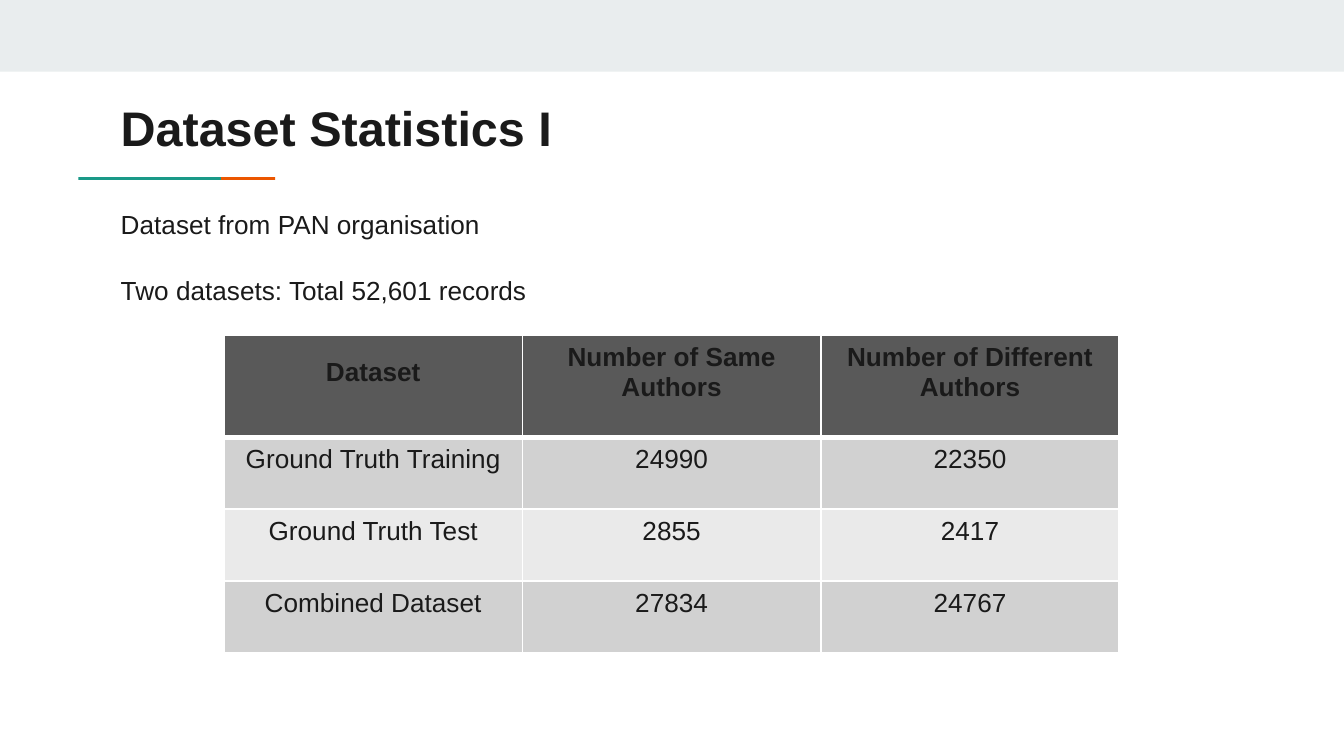
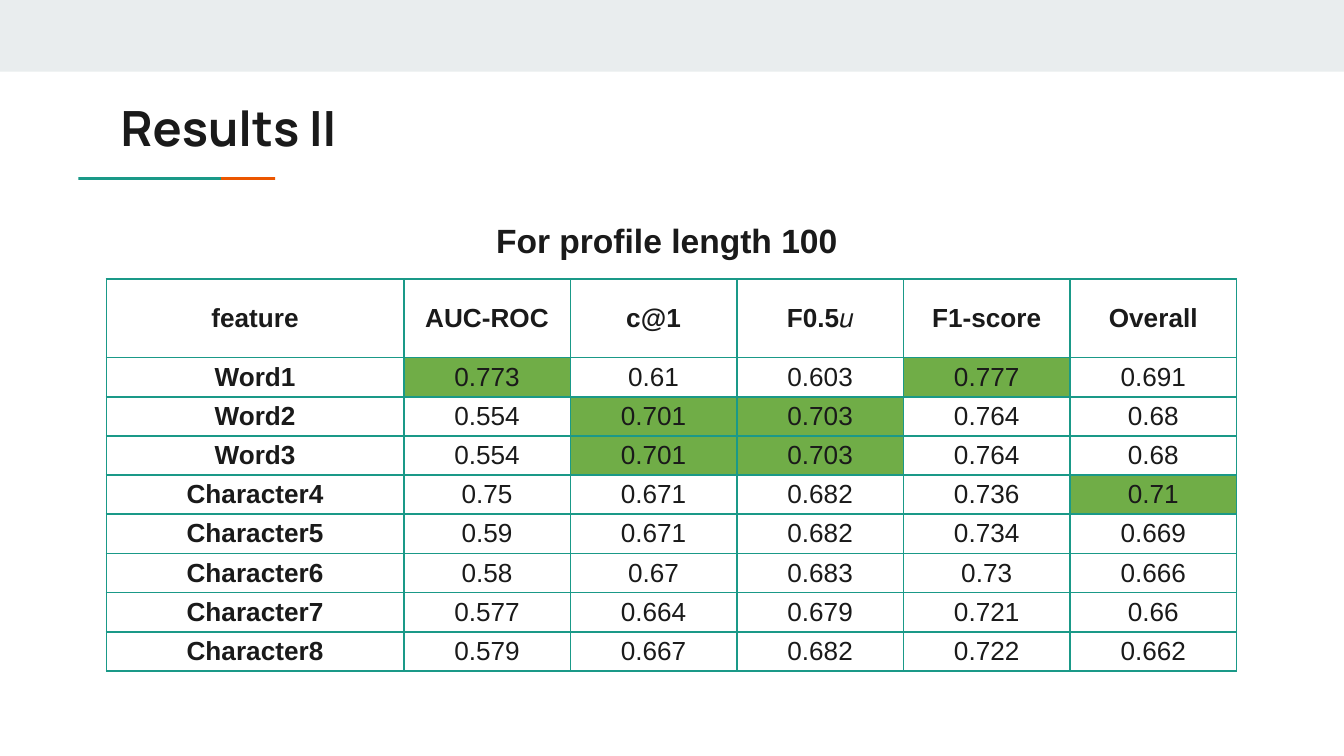
from dataclasses import dataclass

from lxml.etree import SubElement
from pptx import Presentation
from pptx.dml.color import RGBColor
from pptx.enum.shapes import MSO_SHAPE as Preset
from pptx.enum.text import MSO_ANCHOR as Anchor, MSO_AUTO_SIZE as AutoSize, PP_ALIGN as Align
from pptx.oxml.ns import qn
from pptx.util import Pt


# Theme: colours, fonts and type sizes
@dataclass(frozen=True)
class Theme:
    ink: str = "1A1A1A"
    white: str = "FFFFFF"
    band: str = "E9EDEE"
    teal: str = "1A9988"
    orange: str = "EB5600"
    header: str = "595959"
    row_dark: str = "D1D1D1"
    row_light: str = "EAEAEA"
    best: str = "70AD47"
    font: str = "Arial"
    display_font: str = "Manrope"
    title_size: float = 26
    caption_size: float = 18
    text_size: float = 14


THEME = Theme()


@dataclass(frozen=True)
class Box:
    left: float
    top: float
    width: float
    height: float

    def lengths(self) -> tuple:
        return Pt(self.left), Pt(self.top), Pt(self.width), Pt(self.height)


@dataclass(frozen=True)
class Bar:
    box: Box
    color: str


@dataclass(frozen=True)
class Cell:
    text: str
    fill: str | None = None
    bold: bool = False


@dataclass(frozen=True)
class TableStyle:
    border: str
    side_margin: float
    top_margin: float
    bottom_margin: float
    header_rule: float = 1


SLIDE = Box(0, 0, 720, 405)
TITLE = Box(57.4, 45.4, 605.5, 42.5)
# The teal bar lies over the left part of the orange one
BARS = (
    Bar(Box(0, 0, SLIDE.width, 38.4), THEME.band),
    Bar(Box(71, 94.9, 76.4, 1.5), THEME.orange),
    Bar(Box(42, 94.9, 76.4, 1.5), THEME.teal),
)
STATISTICS_STYLE = TableStyle(THEME.white, 7.2, 3.6, 18.6, header_rule=3)
RESULTS_STYLE = TableStyle(THEME.teal, 2.2, 0, 0)

STATISTICS = (
    ("Dataset", "Number of Same Authors", "Number of Different Authors"),
    ("Ground Truth Training", "24990", "22350"),
    ("Ground Truth Test", "2855", "2417"),
    ("Combined Dataset", "27834", "24767"),
)
RESULTS = (
    ("feature", "AUC-ROC", "c@1", "F0.5𝑢", "F1-score", "Overall"),
    ("Word1", "0.773", "0.61", "0.603", "0.777", "0.691"),
    ("Word2", "0.554", "0.701", "0.703", "0.764", "0.68"),
    ("Word3", "0.554", "0.701", "0.703", "0.764", "0.68"),
    ("Character4", "0.75", "0.671", "0.682", "0.736", "0.71"),
    ("Character5", "0.59", "0.671", "0.682", "0.734", "0.669"),
    ("Character6", "0.58", "0.67", "0.683", "0.73", "0.666"),
    ("Character7", "0.577", "0.664", "0.679", "0.721", "0.66"),
    ("Character8", "0.579", "0.667", "0.682", "0.722", "0.662"),
)


# Text
def add_run(paragraph, text: str, size: float, bold: bool = False, font: str = THEME.font) -> None:
    run = paragraph.add_run()
    run.text = text
    run.font.name = font
    run.font.size = Pt(size)
    run.font.bold = bold
    run.font.color.rgb = RGBColor.from_string(THEME.ink)


def prepare_frame(frame) -> None:
    frame.word_wrap = True
    frame.auto_size = AutoSize.NONE
    frame.vertical_anchor = Anchor.TOP
    frame.margin_left = frame.margin_right = Pt(7.2)
    frame.margin_top = frame.margin_bottom = Pt(7.2)


def add_body(slide, box: Box, lines: tuple[str, ...], size: float,
             bold: bool = False, align: Align = Align.LEFT) -> None:
    frame = slide.shapes.add_textbox(*box.lengths()).text_frame
    prepare_frame(frame)
    for index, line in enumerate(lines):
        paragraph = frame.add_paragraph() if index else frame.paragraphs[0]
        paragraph.alignment = align
        paragraph.line_spacing = 1.15
        paragraph.space_before = Pt(16 if index else 0)
        add_run(paragraph, line, size, bold)


# Slide frame: bands and title
def add_titled_slide(presentation, title: str, font: str):
    slide = presentation.slides.add_slide(presentation.slide_layouts[5])
    for bar in BARS:
        shape = slide.shapes.add_shape(Preset.RECTANGLE, *bar.box.lengths())
        shape.shadow.inherit = False
        shape.fill.solid()
        shape.fill.fore_color.rgb = RGBColor.from_string(bar.color)
        shape.line.fill.background()
    placeholder = slide.shapes.title
    placeholder.left, placeholder.top, placeholder.width, placeholder.height = TITLE.lengths()
    prepare_frame(placeholder.text_frame)
    paragraph = placeholder.text_frame.paragraphs[0]
    paragraph.alignment = Align.LEFT
    add_run(paragraph, title, THEME.title_size, True, font)
    return slide


# Tables
def add_border(cell, side: str, color: str, width: float) -> None:
    properties = cell._tc.get_or_add_tcPr()
    line = SubElement(properties, qn(f"a:{side}"), w=str(Pt(width)))
    SubElement(SubElement(line, qn("a:solidFill")), qn("a:srgbClr"), val=color)


def format_cell(target, cell: Cell, style: TableStyle, top: float, bottom: float) -> None:
    for side, width in (("lnL", 1), ("lnR", 1), ("lnT", top), ("lnB", bottom)):
        add_border(target, side, style.border, width)
    if cell.fill:
        target.fill.solid()
        target.fill.fore_color.rgb = RGBColor.from_string(cell.fill)
    else:
        target.fill.background()
    target.vertical_anchor = Anchor.MIDDLE
    target.margin_left = target.margin_right = Pt(style.side_margin)
    target.margin_top = Pt(style.top_margin)
    target.margin_bottom = Pt(style.bottom_margin)
    paragraph = target.text_frame.paragraphs[0]
    paragraph.alignment = Align.CENTER
    add_run(paragraph, cell.text, THEME.text_size, cell.bold)


def add_grid(slide, left: float, top: float, widths: list[float], heights: list[float],
             rows: list[list[Cell]], style: TableStyle) -> None:
    box = Box(left, top, sum(widths), sum(heights))
    table = slide.shapes.add_table(len(rows), len(widths), *box.lengths()).table
    table.first_row = table.horz_banding = False
    for column, width in zip(table.columns, widths):
        column.width = Pt(width)
    for index, (row, height) in enumerate(zip(rows, heights)):
        table.rows[index].height = Pt(height)
        top_rule = style.header_rule if index == 1 else 1
        bottom_rule = style.header_rule if index == 0 else 1
        for position, cell in enumerate(row):
            format_cell(table.cell(index, position), cell, style, top_rule, bottom_rule)


def statistics_cells() -> list[list[Cell]]:
    def fill(row: int) -> str:
        if row == 0:
            return THEME.header
        return THEME.row_dark if row % 2 else THEME.row_light

    return [[Cell(text, fill(index), index == 0) for text in row]
            for index, row in enumerate(STATISTICS)]


def results_cells() -> list[list[Cell]]:
    """Mark the highest score of each column."""
    header, *body = RESULTS
    best = [max(column, key=float) for column in list(zip(*body))[1:]]
    rows = [[Cell(text, bold=True) for text in header]]
    for name, *scores in body:
        marked = [Cell(score, THEME.best if score == top else None)
                  for score, top in zip(scores, best)]
        rows.append([Cell(name, bold=True), *marked])
    return rows


# Slides
def add_statistics_slide(presentation) -> None:
    slide = add_titled_slide(presentation, "Dataset Statistics I", THEME.font)
    lines = ("Dataset from PAN organisation", "Two datasets: Total 52,601 records")
    add_body(slide, Box(57.6, 102, 605.5, 285), lines, THEME.text_size)
    add_grid(slide, 120, 179.8, [159.9] * 3, [54.4] + [38.6] * 3,
             statistics_cells(), STATISTICS_STYLE)


def add_results_slide(presentation) -> None:
    slide = add_titled_slide(presentation, "Results II", THEME.display_font)
    add_body(slide, Box(57, 107.5, 605.5, 234), ("For profile length 100 ",),
             THEME.caption_size, True, Align.CENTER)
    add_grid(slide, 57, 149.6, [159.3] + [89.25] * 5, [42] + [21] * 8,
             results_cells(), RESULTS_STYLE)


def main() -> None:
    presentation = Presentation()
    presentation.slide_width = Pt(SLIDE.width)
    presentation.slide_height = Pt(SLIDE.height)
    add_statistics_slide(presentation)
    add_results_slide(presentation)
    presentation.save("out.pptx")


if __name__ == "__main__":
    main()
